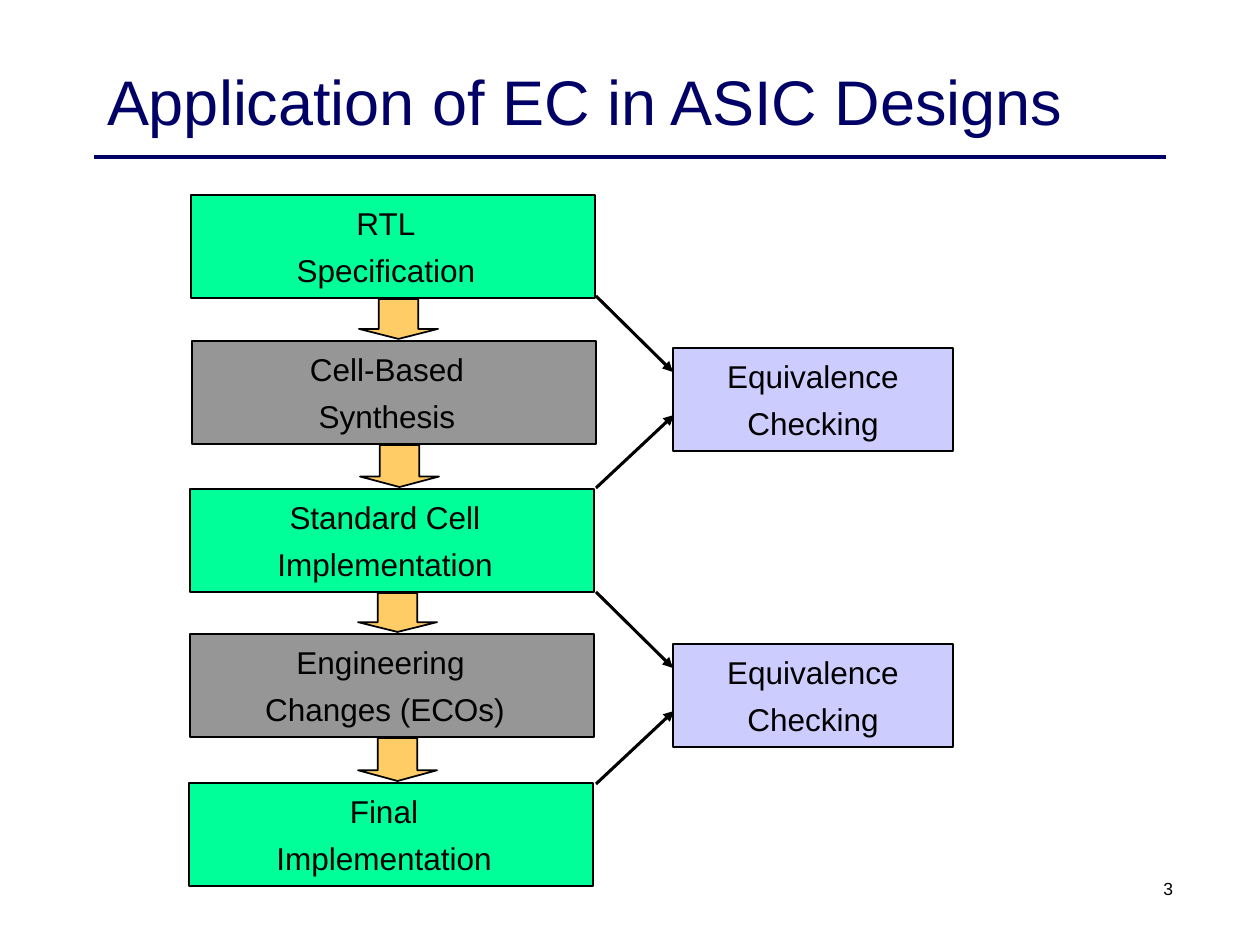
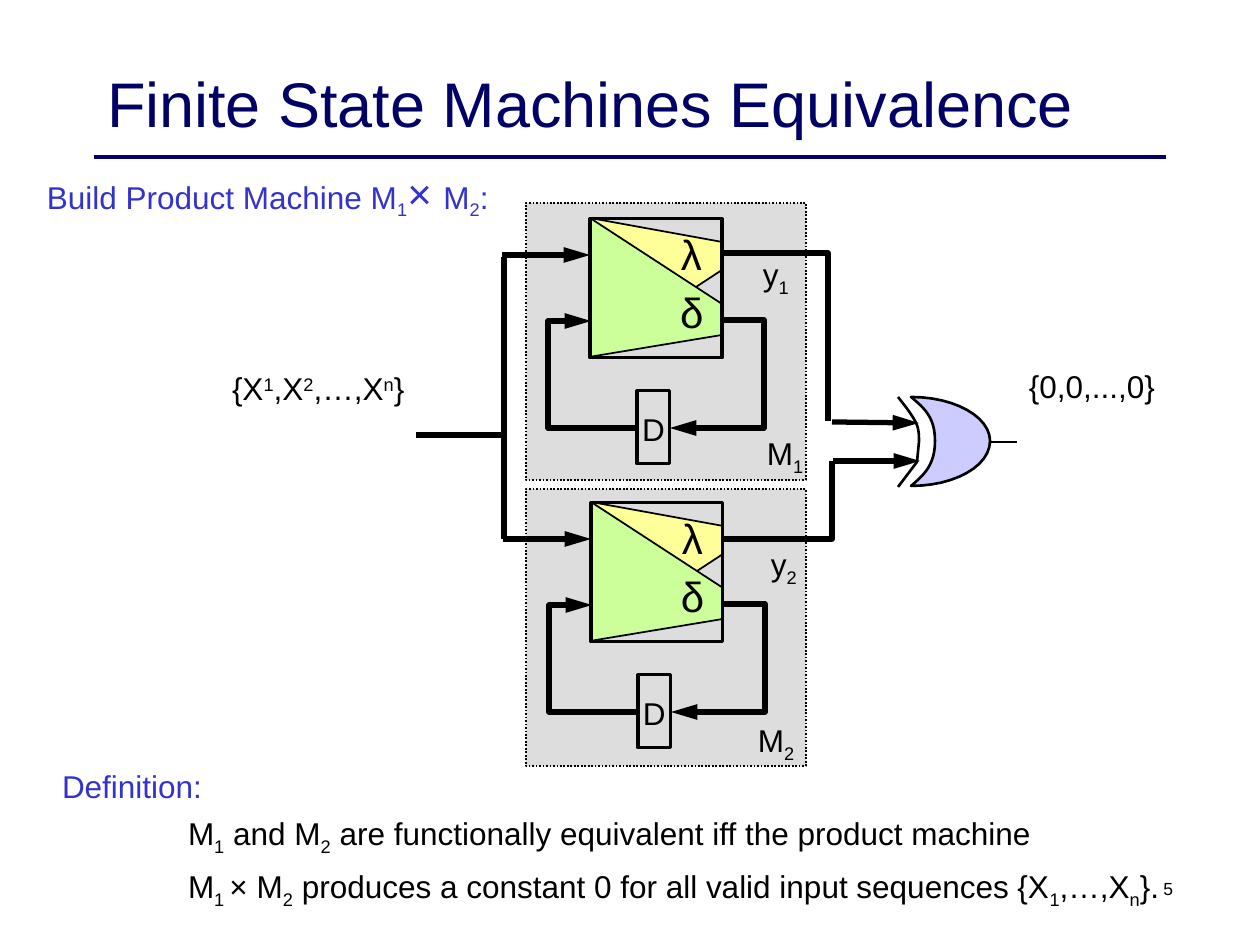
from pptx import Presentation
from pptx.dml.color import RGBColor
from pptx.enum.dml import MSO_LINE
from pptx.enum.shapes import MSO_CONNECTOR, MSO_SHAPE
from pptx.enum.text import MSO_ANCHOR, MSO_AUTO_SIZE, PP_ALIGN
from pptx.oxml.ns import qn
from pptx.util import Pt
from lxml.etree import SubElement

EMU_PER_PX = 914400 / 126
FONT = "Arial"
NAVY, BLUE, BLACK = "000066", "3333CC", "000000"
MINT, GRAY, LILAC, ORANGE = "00FF99", "969696", "CCCCFF", "FFCC66"
PANEL, YELLOW, LIME = "DDDDDD", "FFFF99", "CCFF99"
SUBSCRIPT, SUPERSCRIPT = -25000, 30000


def px(*lengths):
    return [round(length * EMU_PER_PX) for length in lengths]


def rgb(color):
    return RGBColor.from_string(color)


def shifted(points, dx, dy):
    return [(x + dx, y + dy) for x, y in points]


def curve(start, *segments, steps=12):
    points = [start]
    for control_a, control_b, end in segments:
        begin = points[-1]
        for step in range(1, steps + 1):
            t = step / steps
            u = 1 - t
            points.append(tuple(
                u ** 3 * a + 3 * u * u * t * b + 3 * u * t * t * c + t ** 3 * d
                for a, b, c, d in zip(begin, control_a, control_b, end)))
    return points


class Deck:
    def __init__(self):
        self.presentation = Presentation()
        self.presentation.slide_width, self.presentation.slide_height = px(1260, 945)
        self.slide = None

    def new_slide(self, title, number, title_top):
        layout = self.presentation.slide_layouts[5]
        self.slide = self.presentation.slides.add_slide(layout)
        self.line((94, 157), (1166, 157), 2.25, NAVY)
        shape = self.slide.shapes.title
        shape.left, shape.top, shape.width, shape.height = px(94, title_top, 1071, 158)
        frame = self.frame(shape)
        frame.vertical_anchor = MSO_ANCHOR.MIDDLE
        frame.paragraphs[0].alignment = PP_ALIGN.LEFT
        self.runs(frame.paragraphs[0], [title], 36, NAVY)
        self.text((924, 872, 262, 63), [str(number)], 10, align=PP_ALIGN.RIGHT)

    def frame(self, shape):
        frame = shape.text_frame
        frame.word_wrap = True
        frame.auto_size = MSO_AUTO_SIZE.NONE
        frame.margin_left, frame.margin_right = px(13, 13)
        frame.margin_top, frame.margin_bottom = px(6, 6)
        return frame

    def runs(self, paragraph, pieces, size=18, color=BLACK, shift=SUBSCRIPT):
        for index, piece in enumerate(pieces):
            run = paragraph.add_run()
            run.text = piece
            run.font.name = FONT
            run.font.size = Pt(size)
            run.font.color.rgb = rgb(color)
            if index % 2:
                run.font._element.set("baseline", str(shift))

    def text(self, box, pieces, size=18, color=BLACK, shift=SUBSCRIPT,
             align=PP_ALIGN.LEFT):
        frame = self.frame(self.slide.shapes.add_textbox(*px(*box)))
        frame.paragraphs[0].alignment = align
        self.runs(frame.paragraphs[0], pieces, size, color, shift)
        return frame

    def paragraph(self, frame, pieces, indent=0):
        paragraph = frame.add_paragraph()
        paragraph.space_before = Pt(5.4)
        paragraph.alignment = PP_ALIGN.LEFT
        paragraph._p.get_or_add_pPr().set("marL", str(px(indent)[0]))
        self.runs(paragraph, pieces)

    def paint(self, shape, fill, weight):
        shape.shadow.inherit = False
        if fill:
            shape.fill.solid()
            shape.fill.fore_color.rgb = rgb(fill)
        else:
            shape.fill.background()
        shape.line.color.rgb = rgb(BLACK)
        shape.line.width = Pt(weight)
        return shape

    def shape(self, box, fill=None, weight=1.25, kind=MSO_SHAPE.RECTANGLE):
        shape = self.slide.shapes.add_shape(kind, *px(*box))
        return self.paint(shape, fill, weight)

    def label_box(self, box, lines, fill, extra_right=0):
        frame = self.frame(self.shape(box, fill))
        frame.vertical_anchor = MSO_ANCHOR.TOP
        frame.margin_top, frame.margin_right = px(9, 13 + extra_right)
        for index, line in enumerate(lines):
            paragraph = frame.add_paragraph() if index else frame.paragraphs[0]
            paragraph.alignment = PP_ALIGN.CENTER
            if index:
                paragraph.space_before = Pt(5.4)
            self.runs(paragraph, [line])

    def arrowhead(self, shape, weight):
        length = "lg" if weight > 2 else "med"
        SubElement(shape.line._get_or_add_ln(), qn("a:tailEnd"),
                   type="triangle", w="med", len=length)

    def line(self, start, end, weight, color=BLACK, arrow=False):
        connector = self.slide.shapes.add_connector(
            MSO_CONNECTOR.STRAIGHT, *px(*start, *end))
        connector.line.color.rgb = rgb(color)
        connector.line.width = Pt(weight)
        if arrow:
            self.arrowhead(connector, weight)
        SubElement(connector._element.spPr, qn("a:effectLst"))

    def outline(self, points, fill=None, weight=1, arrow=False):
        start, *rest = [px(*point) for point in points]
        builder = self.slide.shapes.build_freeform(*start)
        builder.add_line_segments(rest, close=bool(fill))
        shape = self.paint(builder.convert_to_shape(), fill, weight)
        if arrow:
            self.arrowhead(shape, weight)


def build_design_flow(deck):
    deck.new_slide("Application of EC in ASIC Designs", 3, 21)
    stages = [
        (191, 195, ["RTL", "Specification"]),
        (192, 341, ["Cell-Based", "Synthesis"]),
        (190, 489, ["Standard Cell", "Implementation"]),
        (190, 634, ["Engineering ", "Changes (ECOs)"]),
        (189, 783, ["Final", "Implementation"]),
    ]
    for index, (left, top, lines) in enumerate(stages):
        deck.label_box((left, top, 404, 103), lines, GRAY if index % 2 else MINT, 14)
    for (left, top, _), (_, next_top, _) in zip(stages, stages[1:]):
        arrow_top = top + 104
        arrow = deck.shape((left + 168, arrow_top, 79, next_top - 2 - arrow_top),
                           ORANGE, 1, MSO_SHAPE.DOWN_ARROW)
        arrow.adjustments[0], arrow.adjustments[1] = 0.5, 0.25
    for top in (348, 644):
        deck.label_box((673, top, 280, 103), ["Equivalence", "Checking"], LILAC)
        deck.line((596, top - 52), (673, top + 24), 1.75, arrow=True)
        deck.line((596, top + 140), (674, top + 67), 1.75, arrow=True)


def draw_machine(deck, dx, dy):
    def place(*points):
        return shifted(points, dx, dy)

    def box(left, top, width, height):
        return left + dx, top + dy, width, height

    deck.outline(place((589, 357), (722, 270), (722, 242), (590, 218)), YELLOW)
    deck.outline(place((590, 218), (722, 304), (722, 335), (589, 357)), LIME)
    deck.shape(box(590, 219, 132, 139), weight=1.75)
    deck.shape(box(637, 391, 33, 73), weight=1.75)
    feedback_out = place((722, 320), (764, 320), (764, 428), (670, 428))
    feedback_in = place((636, 428), (548, 428), (548, 321), (591, 321))
    for feedback in (feedback_out, feedback_in):
        deck.outline(feedback, weight=3, arrow=True)
    deck.line(*place((502, 255), (590, 255)), 3, arrow=True)
    deck.text(box(668, 223, 54, 63), ["λ"], 24)
    deck.text(box(667, 281, 54, 63), ["δ"], 24)
    deck.text(box(629, 404, 54, 50), ["D"])


def draw_xor_gate(deck):
    deck.outline(curve((911, 397),
                       ((924, 408), (935, 417), (935, 441)),
                       ((935, 465), (924, 475), (911, 486)),
                       ((955, 486), (990, 466), (990, 441)),
                       ((990, 417), (955, 397), (911, 397))), LILAC, 1.5)
    deck.line((990, 442), (1017, 442), 1.5)
    back = curve((898, 397),
                 ((901, 401), (911, 413), (915, 421)),
                 ((919, 428), (919, 435), (919, 442)))
    deck.outline(back + [(917, 462), (898, 487)], weight=1.5)


def build_product_machine(deck):
    deck.new_slide("Finite State Machines Equivalence", 5, 23)
    for top in (203, 489):
        panel = deck.shape((526, top, 280, 277), PANEL, 1)
        panel.line.dash_style = MSO_LINE.ROUND_DOT
    for dx, dy in ((0, 0), (1, 284)):
        draw_machine(deck, dx, dy)
    deck.line((832, 422), (919, 423), 3, arrow=True)
    deck.line((833, 461), (920, 461), 3, arrow=True)
    draw_xor_gate(deck)
    deck.outline([(722, 539), (832, 539), (832, 461)], weight=3)
    deck.outline([(722, 253), (828, 253), (828, 421)], weight=3)
    deck.line((504, 257), (504, 539), 3)
    deck.line((504, 435), (416, 435), 3)
    deck.text((219, 363, 205, 50), ["{X", "1", ",X", "2", ",…,X", "n", "}"],
              shift=SUPERSCRIPT)
    deck.text((1016, 361, 160, 50), ["{0,0,...,0}"])
    for left, top, name, index in ((750, 249, "y", "1"), (758, 539, "y", "2"),
                                   (754, 428, "M", "1"), (745, 715, "M", "2")):
        deck.text((left, top, 66, 55), [name, index])
    heading = deck.text((34, 161, 494, 67), ["Build Product Machine M", "1"],
                        color=BLUE).paragraphs[0]
    deck.runs(heading, ["× "], 24, BLUE)
    deck.runs(heading, ["M", "2", ":"], color=BLUE)
    definition = deck.text((49, 761, 1150, 152), ["Definition:"], color=BLUE)
    deck.paragraph(definition, [
        "M", "1", " and M", "2",
        " are functionally equivalent iff the product machine"], 126)
    deck.paragraph(definition, [
        "M", "1 ", "× M", "2",
        " produces a constant 0 for all valid input sequences {X", "1",
        ",…,X", "n", "}."], 126)


def main():
    deck = Deck()
    build_design_flow(deck)
    build_product_machine(deck)
    deck.presentation.save("out.pptx")


if __name__ == "__main__":
    main()
